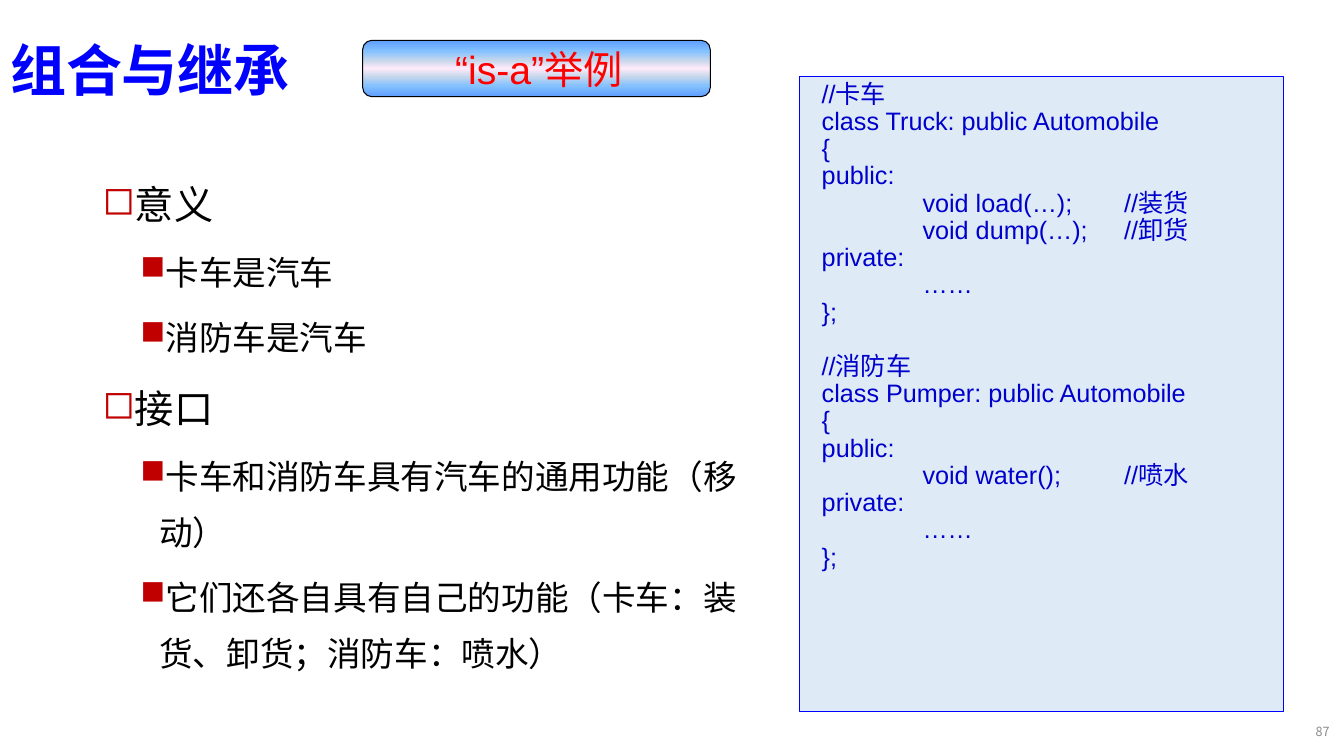
"""Builds the slide on composition and inheritance with its is-a example."""
from dataclasses import dataclass

from lxml import etree
from pptx import Presentation
from pptx.dml.color import RGBColor
from pptx.enum.shapes import MSO_SHAPE
from pptx.enum.text import MSO_ANCHOR, MSO_AUTO_SIZE, PP_ALIGN
from pptx.oxml.ns import qn
from pptx.util import Pt

LEFT, CENTER, RIGHT = PP_ALIGN.LEFT, PP_ALIGN.CENTER, PP_ALIGN.RIGHT
TOP, MIDDLE = MSO_ANCHOR.TOP, MSO_ANCHOR.MIDDLE
NO_FIT = MSO_AUTO_SIZE.NONE
RECTANGLE, ROUNDED = MSO_SHAPE.RECTANGLE, MSO_SHAPE.ROUNDED_RECTANGLE
TITLE_ONLY = 5


@dataclass(frozen=True)
class Theme:
    """Colours, fonts and type sizes of the deck."""
    title: str = "0000FF"
    accent: str = "FF0000"
    text: str = "000000"
    bullet: str = "C00000"
    code: str = "0000CC"
    code_fill: str = "DEEBF7"
    number: str = "8C8C8C"
    glow: tuple = ((0, "5E9EFF"), (20, "85C2FF"), (35, "C4D6EB"), (50, "FFEBFA"),
                   (65, "C4D6EB"), (80, "85C2FF"), (100, "5E9EFF"))
    latin_font: str = "Arial"
    chinese_font: str = "Noto Sans CJK SC"
    title_size: int = 40
    heading_size: int = 28
    item_size: int = 24
    code_size: int = 18
    number_size: int = 9


class SlideBuilder:
    """Draws styled elements on the current slide."""

    def __init__(self, page, theme):
        """Keep the slide and the theme."""
        self.page, self.theme = page, theme

    def set_font(self, para, size, color, name, bold=False):
        """Format a whole paragraph, including its East Asian font."""
        font = para.font
        font.size, font.bold, font.name = Pt(size), bold, name
        font.color.rgb = RGBColor.from_string(color)
        latin = para._p.pPr.find(qn("a:defRPr")).find(qn("a:latin"))
        east_asian = etree.Element(qn("a:ea"), typeface=name)
        latin.addnext(east_asian)

    def set_frame(self, box, anchor=TOP):
        """Wrap the text of a box, fix its size and return its frame."""
        frame = box.text_frame
        frame.word_wrap, frame.auto_size = True, NO_FIT
        frame.vertical_anchor = anchor
        return frame

    def title(self, text, *bounds):
        """Place and format the title placeholder."""
        box = self.page.shapes.title
        box.left, box.top, box.width, box.height = map(Pt, bounds)
        para = self.set_frame(box, MIDDLE).paragraphs[0]
        para.text, para.alignment, para.line_spacing = text, LEFT, 0.9
        self.set_font(para, self.theme.title_size, self.theme.title,
                      self.theme.chinese_font, bold=True)

    def panel(self, kind, line, *bounds):
        """Add an outlined shape without a shadow."""
        shape = self.page.shapes.add_shape(kind, *map(Pt, bounds))
        shape.shadow.inherit = False
        shape.line.color.rgb = RGBColor.from_string(line)
        shape.line.width = Pt(0.75)
        return shape

    def glowing_panel(self, *bounds):
        """Add a rounded panel with the theme's vertical gradient."""
        shape = self.panel(ROUNDED, self.theme.text, *bounds)
        shape.fill.gradient()
        shape.fill.gradient_angle = 270
        stops = shape._element.spPr.find(qn("a:gradFill")).find(qn("a:gsLst"))
        for stop in list(stops):
            stops.remove(stop)
        for percent, color in self.theme.glow:
            stop = etree.SubElement(stops, qn("a:gs"), pos=str(percent * 1000))
            etree.SubElement(stop, qn("a:srgbClr"), val=color)

    def label(self, text, align, anchor, size, color, name, *bounds):
        """Add one line of text."""
        box = self.page.shapes.add_textbox(*map(Pt, bounds))
        para = self.set_frame(box, anchor).paragraphs[0]
        para.text, para.alignment = text, align
        self.set_font(para, size, color, name)

    def outline(self, entries, *bounds):
        """Add a two-level bulleted list of (level, text) entries."""
        theme = self.theme
        levels = ((13.5, "◻", theme.heading_size), (40.5, "■", theme.item_size))
        frame = self.set_frame(self.page.shapes.add_textbox(*map(Pt, bounds)))
        for index, (level, text) in enumerate(entries):
            margin, mark, size = levels[level]
            para = frame.add_paragraph() if index else frame.paragraphs[0]
            para.text, para.level = text, level
            properties = para._p.get_or_add_pPr()
            properties.set("marL", str(Pt(margin)))
            properties.set("indent", str(-Pt(13.5)))
            color = etree.SubElement(properties, qn("a:buClr"))
            etree.SubElement(color, qn("a:srgbClr"), val=theme.bullet)
            etree.SubElement(properties, qn("a:buChar"), char=mark)
            para.line_spacing = 1.4
            para.space_before = Pt(6 if index else 0)
            self.set_font(para, size, theme.text, theme.latin_font)

    def code(self, listings, *bounds):
        """Add a code panel, with a gap of one line between listings."""
        theme = self.theme
        shape = self.panel(RECTANGLE, theme.title, *bounds)
        shape.fill.solid()
        shape.fill.fore_color.rgb = RGBColor.from_string(theme.code_fill)
        frame = self.set_frame(shape)
        frame.margin_left = Pt(16)
        lines = [(number, line) for listing in listings
                 for number, line in enumerate(listing.splitlines())]
        for index, (number, line) in enumerate(lines):
            para = frame.add_paragraph() if index else frame.paragraphs[0]
            para.text, para.alignment = line, LEFT
            tabs = etree.SubElement(para._p.get_or_add_pPr(), qn("a:tabLst"))
            for stop in (72, 216):
                etree.SubElement(tabs, qn("a:tab"), pos=str(Pt(stop)), algn="l")
            para.line_spacing = 0.9
            para.space_before = Pt(19.4 if index and number == 0 else 0)
            self.set_font(para, theme.code_size, theme.code, theme.latin_font)


OUTLINE = (
    (0, "意义"),
    (1, "卡车是汽车"),
    (1, "消防车是汽车"),
    (0, "接口"),
    (1, "卡车和消防车具有汽车的通用功能（移动）"),
    (1, "它们还各自具有自己的功能（卡车：装货、卸货；消防车：喷水）"),
)
TRUCK = """//卡车
class Truck: public Automobile
{
public:
\tvoid load(…);\t//装货
\tvoid dump(…);\t//卸货
private:
\t……
};"""
PUMPER = """//消防车
class Pumper: public Automobile
{
public:
\tvoid water();\t//喷水
private:
\t……
};"""


def main():
    """Build and save the deck."""
    deck = Presentation()
    deck.slide_width, deck.slide_height = Pt(960), Pt(540)
    theme = Theme()
    page = deck.slides.add_slide(deck.slide_layouts[TITLE_ONLY])
    builder = SlideBuilder(page, theme)
    builder.title("组合与继承", 0, 0, 828, 104.4)
    builder.glowing_panel(259, 28.8, 248.4, 40.3)
    builder.label("“is-a”举例", CENTER, TOP, theme.heading_size, theme.accent,
                  theme.latin_font, 261.4, 28.8, 247, 32.4)
    builder.outline(OUTLINE, 66.2, 111.6, 482.4, 375)
    builder.code((TRUCK, PUMPER), 571, 54.7, 345.6, 453.6)
    builder.label("87", RIGHT, MIDDLE, theme.number_size, theme.number,
                  theme.chinese_font, 928, 508.3, 28.8, 28.8)
    deck.save("out.pptx")


if __name__ == "__main__":
    main()
